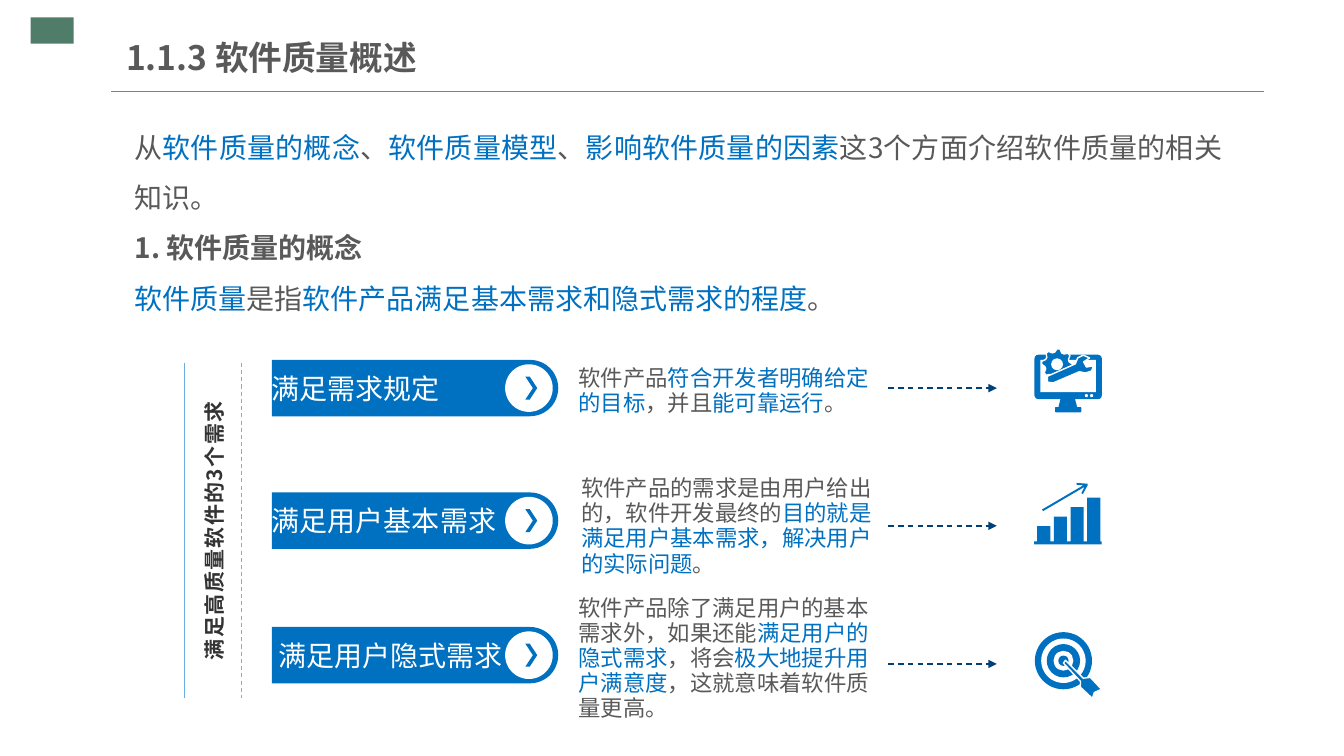
from math import cos, sin, pi
from lxml.etree import SubElement
from pptx import Presentation
from pptx.dml.color import RGBColor as RGB
from pptx.enum.dml import MSO_LINE as DASH
from pptx.enum.shapes import MSO_CONNECTOR as LINK, MSO_SHAPE as KIND
from pptx.enum.text import MSO_ANCHOR as ANCHOR, PP_ALIGN as ALIGN
from pptx.oxml.ns import qn
from pptx.util import Cm, Pt

FONT = "Noto Sans CJK SC"
HUES = {"blue": "0070C0", "gray": "595959", "dark": "333333", "white": "FFFFFF",
        "green": "4F7D6A", "rule": "808080", "sky": "6BAFE1", "navy": "014076",
        "dash": "A6A6A6"}

deck = Presentation()
deck.slide_width, deck.slide_height = Cm(33.87), Cm(19.05)
slide = deck.slides.add_slide(deck.slide_layouts[5])
shapes = slide.shapes


def draw(kind, place, fill, edge=None):
    """Add a preset at (left, top, width, height), or a list of outlines if kind is None."""
    if kind is None:
        pen = None
        for outline in place:
            dots = [(Cm(x), Cm(y)) for x, y in outline]
            if pen:
                pen.move_to(*dots[0])
            else:
                pen = shapes.build_freeform(*dots[0], scale=1.0)
            pen.add_line_segments(dots[1:], close=True)
        item = pen.convert_to_shape()
    else:
        item = shapes.add_shape(kind, *map(Cm, place))
    item.shadow.inherit = False
    item.fill.solid()
    item.fill.fore_color.rgb = RGB.from_string(HUES[fill])
    if edge:
        item.line.color.rgb = RGB.from_string(HUES[edge])
        item.line.width = Pt(1)
    else:
        item.line.fill.background()
    return item


def write(para, text, size, hues=("gray", "blue"), bold=False):
    """Fill a paragraph; each bar in the text switches between the hues."""
    for i, part in enumerate(text.split("|")):
        if part:
            run = para.add_run()
            run.text = part
            run.font.size, run.font.bold, run.font.name = Pt(size), bold, FONT
            run.font.color.rgb = RGB.from_string(HUES[hues[i % len(hues)]])
            SubElement(run.font._element, qn("a:ea"), typeface=FONT)


# Header
draw(KIND.RECTANGLE, (0.77, 0.44, 1.09, 0.66), "green")
title = shapes.title
title.left, title.top, title.width, title.height = map(Cm, (3.18, 0.74, 10.82, 1.4))
frame = title.text_frame
frame.margin_left = frame.margin_right = 0
frame.vertical_anchor = ANCHOR.MIDDLE
frame.paragraphs[0].alignment = ALIGN.LEFT
write(frame.paragraphs[0], "1.1.3 软件质量概述", 24, bold=True)

# Introduction
intro = [
    ("从|软件质量的概念|、|软件质量模型|、|影响软件质量的因素|这3个方面介绍软件质量的相关知识。", False),
    ("1. 软件质量的概念", True),
    ("|软件质量|是指|软件产品满足基本需求和隐式需求的程度|。", False),
]
frame = shapes.add_textbox(*map(Cm, (3.14, 2.73, 27.91, 5.66))).text_frame
frame.word_wrap = True
for i, (text, bold) in enumerate(intro):
    para = frame.add_paragraph() if i else frame.paragraphs[0]
    para.alignment, para.line_spacing = ALIGN.JUSTIFY, 1.5
    write(para, text, 20, bold=bold)

# Needs: middle of the pill, label, indent, place of the note, note
needs = [
    (9.78, "满足需求规定", 0, (14.33, 8.86, 8.26, 1.98),
     "软件产品|符合开发者明确给定的目标|，并且|能可靠运行|。"),
    (13.12, "满足用户基本需求", 0, (14.4, 12.27, 8.08, 1.98),
     "软件产品的需求是由用户给出的，软件开发最终的|目的就是满足用户基本需求，解决用户的实际问题|。"),
    (16.51, "满足用户隐式需求", 0.16, (14.33, 15.6, 8.08, 1.98),
     "软件产品除了满足用户的基本需求外，如果还能|满足用户的隐式需求|，将会|极大地提升用户满意度|"
     "，这就意味着软件质量更高。"),
]
for mid, label, indent, place, note in needs:
    arc = [(13.36 + 0.71 * cos(a), mid + 0.71 * sin(a))
           for a in (pi * (k / 24 - 0.5) for k in range(25))]
    pill = draw(None, [[(6.85, mid - 0.71), *arc, (6.85, mid + 0.71)]], "blue")
    frame = pill.text_frame
    frame.margin_left = Cm(indent)
    frame.margin_right = frame.margin_top = frame.margin_bottom = 0
    frame.vertical_anchor = ANCHOR.MIDDLE
    frame.paragraphs[0].alignment = ALIGN.LEFT
    write(frame.paragraphs[0], label, 20, ["white"])
    draw(KIND.OVAL, (12.73, mid - 0.6, 1.2, 1.2), "white")
    chevron = [(13.24, -0.29), (13.43, 0), (13.24, 0.29),
               (13.35, 0.29), (13.54, 0), (13.35, -0.29)]
    draw(None, [[(x, mid + y) for x, y in chevron]], "blue")

    frame = shapes.add_textbox(*map(Cm, place)).text_frame
    frame.word_wrap = True
    frame.vertical_anchor = ANCHOR.MIDDLE
    frame.paragraphs[0].line_spacing = Pt(18)
    write(frame.paragraphs[0], note, 16)

# Side label
frame = shapes.add_textbox(*map(Cm, (4.71, 10.02, 1.37, 6.71))).text_frame
frame.word_wrap = True
frame.vertical_anchor = ANCHOR.MIDDLE
frame.margin_left = frame.margin_right = frame.margin_top = frame.margin_bottom = 0
frame._txBody.bodyPr.set("vert", "vert270")
side = frame.paragraphs[0]
side.alignment = ALIGN.CENTER
write(side, "满足高质量软件的3个需求", 15, ["dark"], True)
side.runs[0].font._element.set("spc", "100")

# Lines: ends, hue, width, dashed, arrowhead
lines = [
    ((2.8, 2.31, 31.86, 2.31), "rule", 0.75, False, None),
    ((4.65, 9.14, 4.65, 17.6), "sky", 0.75, False, None),
    ((6.09, 9.14, 6.09, 17.6), "dash", 0.75, True, None),
]
lines += [((22.39, y, 25.12, y), "navy", 1, True, "triangle") for y in (9.78, 13.25, 16.73)]
for ends, hue, width, dashed, head in lines:
    link = shapes.add_connector(LINK.STRAIGHT, *map(Cm, ends))
    link.line.color.rgb = RGB.from_string(HUES[hue])
    link.line.width = Pt(width)
    if dashed:
        link.line.dash_style = DASH.DASH
    props = link.element.spPr
    if head:
        SubElement(props.find(qn("a:ln")), qn("a:tailEnd"), type=head)
    SubElement(props, qn("a:effectLst"))

# Monitor icon with gear and wrench
case = draw(KIND.ROUNDED_RECTANGLE, (26.07, 8.94, 1.7, 1.12), "blue")
case.adjustments[0] = 0.09
draw(KIND.RECTANGLE, (26.22, 9.07, 1.4, 0.81), "white")
draw(KIND.TRAPEZOID, (26.67, 10.05, 0.48, 0.23), "blue")
draw(KIND.ROUNDED_RECTANGLE, (26.59, 10.26, 0.66, 0.13), "blue")
for x in (27.34, 27.47):
    draw(KIND.OVAL, (x, 9.93, 0.08, 0.08), "white")
gear = []
for k in range(32):
    reach = 0.39 if k % 4 < 2 else 0.31
    gear.append((26.64 + reach * cos(k * pi / 16), 9.18 + reach * sin(k * pi / 16)))
draw(None, [gear], "blue", "white")
draw(KIND.OVAL, (26.49, 9.03, 0.3, 0.3), "white")
wrench = [(26.4, 9.48), (27.1, 9.17), (27.16, 9.02), (27.3, 8.95), (27.46, 9.02),
          (27.31, 9.12), (27.38, 9.25), (27.56, 9.22), (27.51, 9.35), (27.36, 9.4),
          (27.2, 9.37), (26.54, 9.65), (26.4, 9.63)]
draw(None, [wrench], "blue", "white")

# Growth icon
bars = [(26.06, 13.72), (26.06, 13.64)]
for i in range(4):
    left, top = 26.14 + 0.42 * i, 13.26 - 0.24 * i
    bars += [(left, 13.64), (left, top), (left + 0.33, top), (left + 0.33, 13.64)]
bars += [(27.76, 13.64), (27.76, 13.72)]
trend = [(26.26, 12.84), (27.3, 12.23), (27.13, 12.22), (27.13, 12.17), (27.41, 12.19),
         (27.41, 12.23), (27.29, 12.45), (27.25, 12.43), (27.33, 12.27), (26.29, 12.88)]
draw(None, [bars, trend], "blue")

# Target icon
for i, r in enumerate((0.72, 0.56, 0.42, 0.25, 0.13)):
    draw(KIND.OVAL, (26.8 - r, 16.65 - r, 2 * r, 2 * r), ("blue", "white")[i % 2])
dart = [(26.85, 16.64), (27.3, 17.09), (27.48, 17.07), (27.76, 17.37), (27.58, 17.45),
        (27.53, 17.6), (27.23, 17.32), (27.23, 17.17), (26.8, 16.71)]
draw(None, [dart], "blue", "white")

deck.save("out.pptx")
